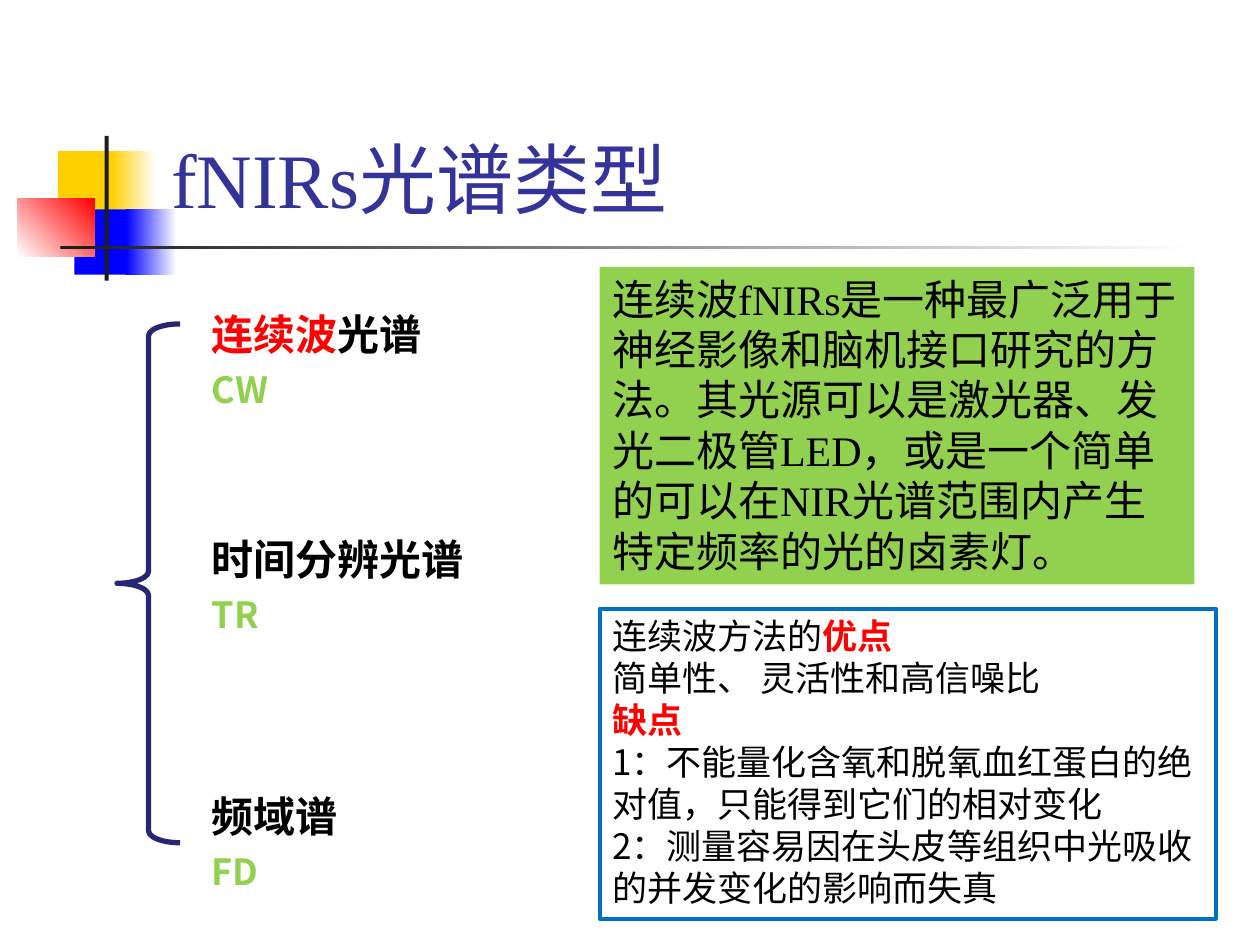
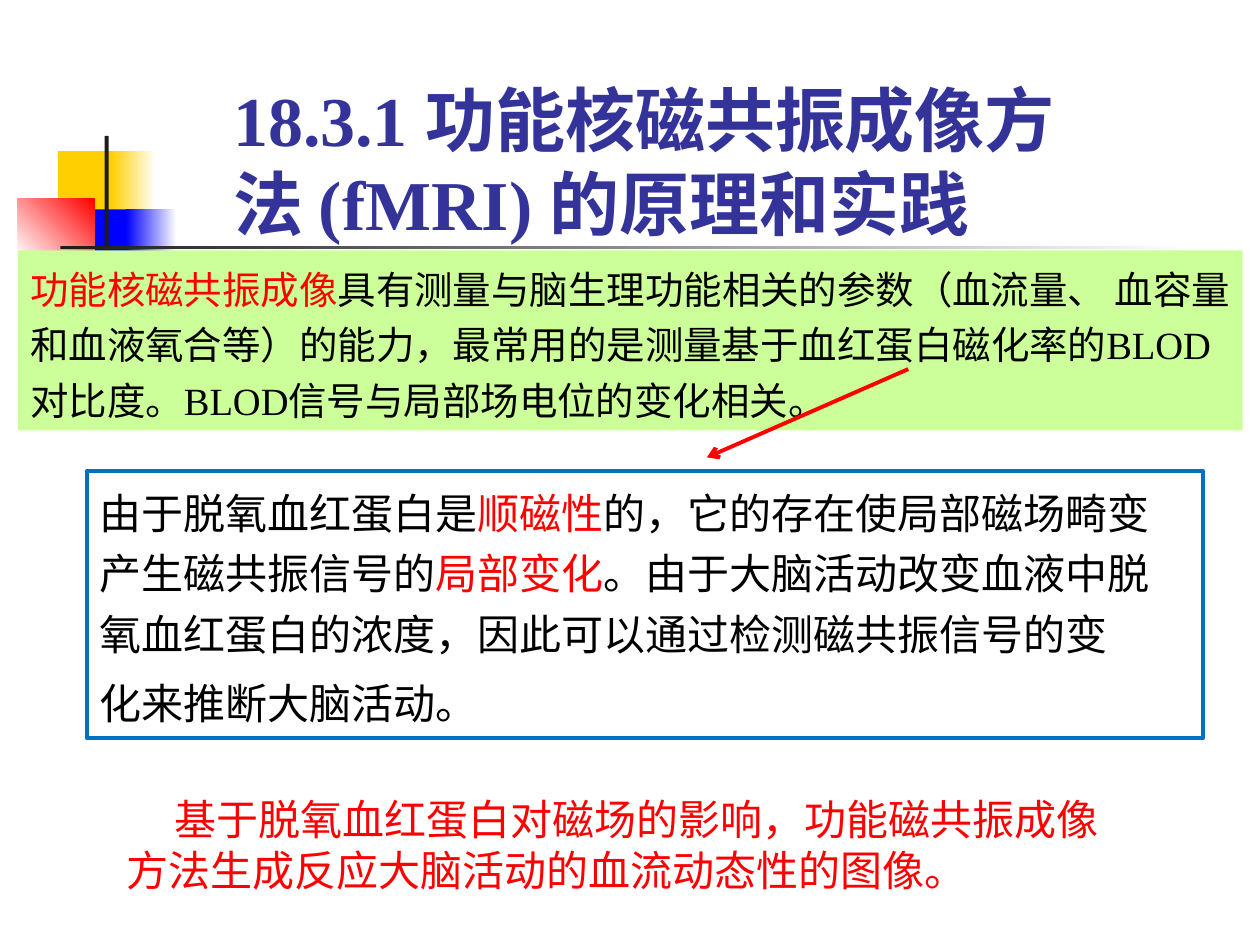
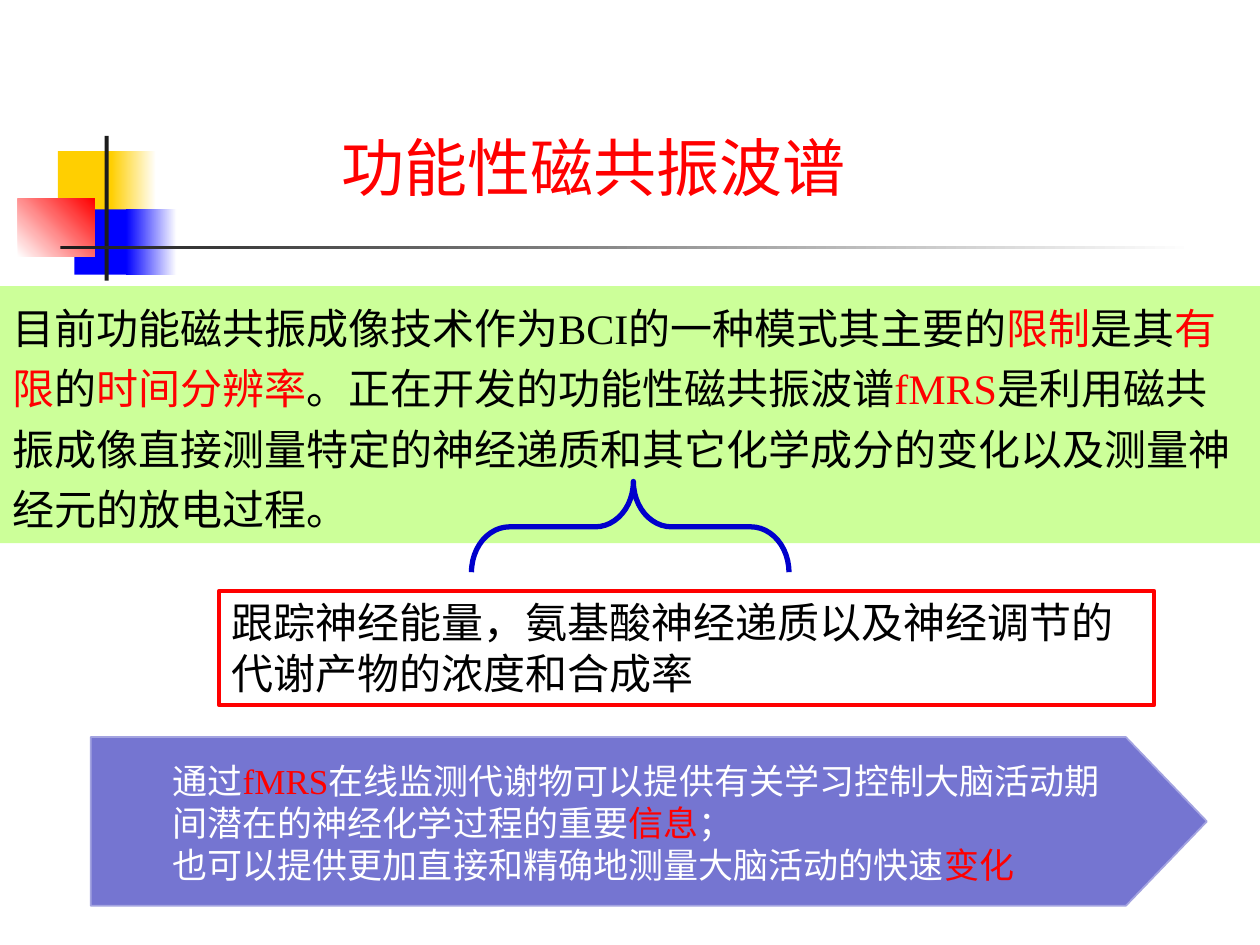
from dataclasses import dataclass

from lxml import etree
from pptx import Presentation
from pptx import util as u
from pptx.dml.color import RGBColor
from pptx.enum import shapes, text
from pptx.oxml.ns import qn


@dataclass(frozen=True)
class Theme:
    navy: str = "333399"
    black: str = "000000"
    white: str = "FFFFFF"
    red: str = "FF0000"
    yellow: str = "FFCF01"
    blue: str = "0000FF"
    ink: str = "1C1C1C"
    green: str = "92D050"
    pale_green: str = "CCFF99"
    frame_blue: str = "0070C0"
    brace_navy: str = "262673"
    brace_blue: str = "0000CC"
    violet: str = "7575D1"
    violet_edge: str = "A3A3E0"
    serif: str = "Times New Roman"
    sans: str = "Noto Sans CJK SC"
    roboto: str = "Roboto"
    title: float = 44
    long_title: float = 40
    short_title: float = 36
    body: float = 24
    summary: float = 22
    abbreviation: float = 20.6
    detail: float = 20
    frame_width: float = 2.25
    brace_width: float = 3


theme = Theme()


def add_shape(container, kind, frame, fill=None, line=None, width=1):
    """Add a preset shape; a pair of fill colours makes a gradient."""
    shape = container.add_shape(kind, *map(u.Cm, frame))
    shape.shadow.inherit = False
    if isinstance(fill, tuple):
        shape.fill.gradient()
        for stop, colour in zip(shape.fill.gradient_stops, fill):
            stop.color.rgb = RGBColor.from_string(colour)
        shape.fill.gradient_angle = 0
    elif fill:
        shape.fill.solid()
        shape.fill.fore_color.rgb = RGBColor.from_string(fill)
    else:
        shape.fill.background()
    if line:
        shape.line.color.rgb = RGBColor.from_string(line)
        shape.line.width = u.Pt(width)
    else:
        shape.line.fill.background()
    return shape


def add_text(container, frame, lines, size, font, colour=theme.black, bold=False,
             bold_marks=False, spaced=False, fill=None, line=None):
    """Add a text box; words between asterisks are red."""
    shape = container.add_textbox(*map(u.Cm, frame))
    shape.text_frame.word_wrap = True
    if fill:
        shape.fill.solid()
        shape.fill.fore_color.rgb = RGBColor.from_string(fill)
    if line:
        shape.line.color.rgb = RGBColor.from_string(line)
        shape.line.width = u.Pt(theme.frame_width)
    for number, words in enumerate(lines):
        paragraph = shape.text_frame.paragraphs[0] if number == 0 else shape.text_frame.add_paragraph()
        paragraph.font.name = font
        paragraph.font.size = u.Pt(size)
        paragraph.font.bold = bold
        paragraph.font.color.rgb = RGBColor.from_string(colour)
        if spaced:
            paragraph.line_spacing = 1.2
            paragraph.space_before = u.Pt(size * 0.2)
        for position, part in enumerate(words.split("*")):
            if not part:
                continue
            run = paragraph.add_run()
            run.text = part
            if position % 2:
                run.font.color.rgb = RGBColor.from_string(theme.red)
                if bold_marks:
                    run.font.bold = True
    return shape


presentation = Presentation()
presentation.slide_width = u.Cm(25.4)
presentation.slide_height = u.Cm(19.05)
slides = [presentation.slides.add_slide(presentation.slide_layouts[6]) for _ in range(3)]

# Shared ornament: coloured squares, upright bar and fading rule
ornament = [
    ((1.17, 3.05, 1.22, 1.32), theme.yellow),
    ((2.24, 3.05, 0.91, 1.32), (theme.yellow, theme.white)),
    ((1.5, 4.22, 1.17, 1.32), theme.blue),
    ((2.54, 4.22, 1.02, 1.32), (theme.blue, theme.white)),
    ((0.36, 4.01, 1.55, 1.17), (theme.white, theme.red)),
    ((2.11, 2.74, 0.08, 2.92), theme.ink),
    ((1.22, 4.95, 22.86, 0.08), (theme.ink, theme.white)),
]
for slide in slides:
    for frame, fill in ornament:
        piece = add_shape(slide.shapes, shapes.MSO_SHAPE.RECTANGLE, frame, fill)
        if fill == (theme.white, theme.red):
            piece.fill.gradient_angle = 45

spectra, imaging, spectroscopy = (slide.shapes for slide in slides)

# Slide 1: title and brace
title = add_text(spectra, (3.2, 0.58, 21.64, 4.06), ["fNIRs光谱类型"],
                 theme.title, theme.serif, theme.navy)
title.text_frame.vertical_anchor = text.MSO_ANCHOR.BOTTOM
brace = add_shape(spectra, shapes.MSO_SHAPE.LEFT_BRACE, (2.36, 6.53, 1.27, 10.46),
                  line=theme.brace_navy, width=theme.brace_width)
brace.adjustments[0] = 0.19

# Slide 1: the three spectrum types
for top, name, abbreviation in [(5.82, "*连续波*光谱", "CW"),
                                (10.36, "时间分辨光谱", "TR"),
                                (15.54, "频域谱", "FD")]:
    label = add_text(spectra, (3.89, top, 9.6, 3.5), [name, abbreviation],
                     theme.body, theme.sans, bold=True)
    text_frame = label.text_frame
    text_frame.margin_left = text_frame.margin_right = u.Cm(0.38)
    text_frame.margin_top = text_frame.margin_bottom = u.Cm(0.2)
    for paragraph in text_frame.paragraphs:
        paragraph.line_spacing = 1.2
    paragraph.font.size = u.Pt(theme.abbreviation)
    paragraph.font.color.rgb = RGBColor.from_string(theme.green)

# Slide 1: continuous wave description, strengths and weaknesses
add_text(spectra, (12.09, 5.38, 11.99, 6.4),
         ["连续波fNIRs是一种最广泛用于神经影像和脑机接口研究的方法。其光源可以是激光器、"
          "发光二极管LED，或是一个简单的可以在NIR光谱范围内产生特定频率的光的卤素灯。"],
         theme.body, theme.serif, fill=theme.green)
add_text(spectra, (12.09, 12.27, 12.42, 6.25),
         ["连续波方法的*优点*",
          "简单性、 灵活性和高信噪比",
          "*缺点*",
          "1：不能量化含氧和脱氧血红蛋白的绝对值，只能得到它们的相对变化",
          "2：测量容易因在头皮等组织中光吸收的并发变化的影响而失真"],
         theme.detail, theme.sans, bold_marks=True, line=theme.frame_blue)

# Slide 2: title and text
title = add_text(imaging, (4.45, 1.3, 18.06, 3.76),
                 ["18.3.1 功能核磁共振成像方法 (fMRI) 的原理和实践"],
                 theme.long_title, theme.serif, theme.navy, bold=True)
title.text_frame.vertical_anchor = text.MSO_ANCHOR.BOTTOM
add_text(imaging, (0.36, 5.05, 24.69, 3.63),
         ["*功能核磁共振成像*具有测量与脑生理功能相关的参数（血流量、 血容量和血液氧合等）的能力，"
          "最常用的是测量基于血红蛋白磁化率的BLOD对比度。BLOD信号与局部场电位的变化相关。"],
         theme.summary, theme.serif, spaced=True, fill=theme.pale_green)
add_text(imaging, (1.75, 9.5, 22.5, 5.38),
         ["由于脱氧血红蛋白是*顺磁性*的，它的存在使局部磁场畸变产生磁共振信号的*局部变化*。"
          "由于大脑活动改变血液中脱氧血红蛋白的浓度，因此可以通过检测磁共振信号的变",
          "化来推断大脑活动。"],
         theme.body, theme.sans, spaced=True, line=theme.frame_blue
         ).text_frame.paragraphs[1].font.name = theme.serif
conclusion = add_text(imaging, (2.31, 15.88, 20.8, 2.31),
                      ["基于脱氧血红蛋白对磁场的影响，功能磁共振成像方法生成反应大脑活动的血流动态性的图像。"],
                      theme.body, theme.sans, theme.red)
conclusion.element.find(".//" + qn("a:pPr")).set("indent", str(u.Cm(0.95)))

# Slide 2: arrow from the contrast to its explanation
arrow = imaging.add_connector(shapes.MSO_CONNECTOR.STRAIGHT,
                              u.Cm(18.31), u.Cm(7.44), u.Cm(14.25), u.Cm(9.22))
arrow.line.color.rgb = RGBColor.from_string(theme.red)
arrow.line.width = u.Pt(theme.frame_width)
properties = arrow.element.find(qn("p:spPr"))
etree.SubElement(properties.find(qn("a:ln")), qn("a:tailEnd"), type="arrow")
etree.SubElement(properties, qn("a:effectLst"))

# Slide 3: title, limits and tracked quantities
add_text(spectroscopy, (6.63, 2.46, 13.84, 1.8), ["功能性磁共振波谱"],
         theme.short_title, theme.serif, theme.red)
add_text(spectroscopy, (0, 5.77, 25.4, 5.18),
         ["目前功能磁共振成像技术作为BCI的一种模式其主要的*限制*是其*有限*的*时间分辨率*。"
          "正在开发的功能性磁共振波谱*fMRS*是利用磁共振成像直接测量特定的神经递质和"
          "其它化学成分的变化以及测量神经元的放电过程。"],
         theme.body, theme.serif, spaced=True, fill=theme.pale_green)
brace = add_shape(spectroscopy, shapes.MSO_SHAPE.RIGHT_BRACE, (11.79, 7.42, 1.83, 6.4),
                  line=theme.brace_blue, width=theme.brace_width)
brace.rotation = 270
brace.adjustments[0] = 0.42
brace.adjustments[1] = 0.51
add_text(spectroscopy, (4.42, 11.91, 18.85, 2.31),
         ["跟踪神经能量，氨基酸神经递质以及神经调节的代谢产物的浓度和合成率"],
         theme.body, theme.roboto, line=theme.red)

# Slide 3: pentagon with the benefits
benefits = spectroscopy.add_group_shape().shapes
pentagon = add_shape(benefits, shapes.MSO_SHAPE.PENTAGON, (1.83, 14.86, 22.5, 3.4),
                     theme.violet, theme.violet_edge)
pentagon.adjustments[0] = 0.48
add_text(benefits, (3.23, 15.19, 19.74, 3.68),
         ["通过*fMRS*在线监测代谢物可以提供有关学习控制大脑活动期间潜在的神经化学过程的重要*信息*；",
          "也可以提供更加直接和精确地测量大脑活动的快速*变化*"],
         theme.detail, theme.serif, theme.white)

# Chinese glyphs use one typeface throughout
for slide in slides:
    for defaults in slide.element.iter(qn("a:defRPr")):
        etree.SubElement(defaults, qn("a:ea"), typeface=theme.sans)

presentation.save("out.pptx")
